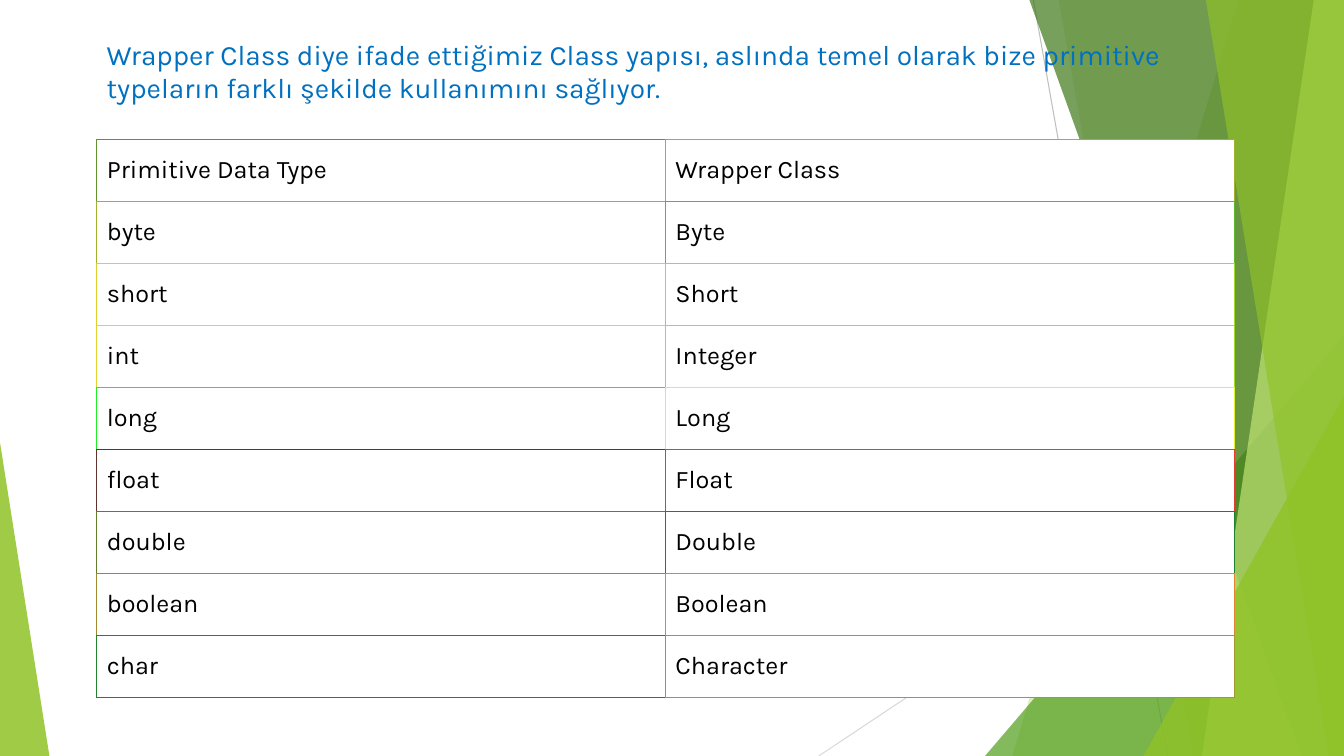
from lxml.etree import SubElement
from pptx import Presentation
from pptx.dml.color import RGBColor
from pptx.enum.shapes import MSO_CONNECTOR as Connector, MSO_SHAPE as Shape
from pptx.enum.text import MSO_ANCHOR as Anchor
from pptx.oxml.ns import qn
from pptx.util import Inches, Pt

WIDTH, HEIGHT = 13.33, 7.5
FONT = "Karla"
COLORS = {
    "white": "FFFFFF", "text": "000000", "intro": "0070C0",
    "line": "BFBFBF", "pale line": "D9D9D9",
    "lime": "90C226", "leaf": "54A021", "forest": "3F7819", "light": "C0E474",
}

# Connectors behind the facets: start, end, colour
LINES = [
    ((10.25, 0), (11.58, HEIGHT), "line"),
    ((WIDTH, 4.03), (8.12, HEIGHT), "pale line"),
]
# Facets from back to front. A panel has the x of its left edge at top and
# bottom; a triangle has its left and top. Then colour and opacity in percent.
FACETS = [
    ("panel", 12.28, 10.04, "lime", 30),
    ("panel", 10.5, 11.83, "lime", 20),
    ("triangle", 9.77, 3.33, "leaf", 72),
    ("panel", 10.21, 12.91, "forest", 70),
    ("panel", 13.03, 11.92, "light", 70),
    ("panel", 11.96, 13.18, "lime", 65),
    ("triangle", 11.34, 3.93, "lime", 80),
]

INTRO = ("Wrapper Class diye ifade ettiğimiz Class yapısı, aslında temel olarak "
         "bize primitive typeların farklı şekilde kullanımını sağlıyor.")
# Each row: two texts, then the border colour of each cell
TYPE_ROWS = [
    ("Primitive Data Type", "Wrapper Class", "60952E", "A0B12E"),
    ("byte", "Byte", "A0B12E", "60B62E"),
    ("short", "Short", "E0CD2E", "A0DB2E"),
    ("int", "Integer", "E0D52E", "A0DD2C"),
    ("long", "Long", "20EF2C", "E0F52C"),
    ("float", "Float", "60342D", "E03D2D"),
    ("double", "Double", "607C2D", "20802D"),
    ("boolean", "Boolean", "A0882D", "E0842D"),
    ("char", "Character", "20832D", "A09A2D"),
]


def rgb(name):
    return RGBColor.from_string(COLORS[name])


def write(text_frame, text, color, size):
    run = text_frame.paragraphs[0].add_run()
    run.text = text
    for name, value in {"name": FONT, "size": Pt(size), "bold": False}.items():
        setattr(run.font, name, value)
    run.font.color.rgb = rgb(color)


def paint(shape, color, opacity):
    shape.shadow.inherit = False
    shape.fill.solid()
    shape.fill.fore_color.rgb = rgb(color)
    shape.line.fill.background()
    color_node = shape.fill._xPr.find(qn("a:solidFill"))[0]
    SubElement(color_node, qn("a:alpha"), val=str(opacity * 1000))


def add_line(slide, start, end, color):
    line = slide.shapes.add_connector(
        Connector.STRAIGHT, *(Inches(value) for value in start + end))
    line.line.color.rgb = rgb(color)
    line.line.width = Pt(0.75)
    SubElement(line._element.spPr, qn("a:effectLst"))


def add_panel(slide, top_x, bottom_x, right, bottom, color, opacity):
    corners = [(top_x, 0), (right, 0), (right, bottom), (bottom_x, bottom)]
    points = [(Inches(x), Inches(y)) for x, y in corners]
    builder = slide.shapes.build_freeform(*points[0])
    builder.add_line_segments(points[1:], close=True)
    paint(builder.convert_to_shape(), color, opacity)


def add_triangle(slide, left, top, right, bottom, apex, color, opacity):
    box = (left, top, right - left, bottom - top)
    triangle = slide.shapes.add_shape(
        Shape.ISOSCELES_TRIANGLE, *(Inches(value) for value in box))
    triangle.adjustments[0] = apex
    paint(triangle, color, opacity)


def add_backdrop(slide, width, height):
    for start, end, color in LINES:
        add_line(slide, start, end, color)
    for kind, first, second, color, opacity in FACETS:
        if kind == "panel":
            add_panel(slide, first, second, width, height, color, opacity)
        else:
            add_triangle(slide, first, second, width, height, 1, color, opacity)
    # Sliver on the left edge
    add_triangle(slide, 0, 4.39, 0.49, height, 0, "lime", 85)


def add_intro(slide, left, top, width, height):
    box = slide.shapes.add_textbox(
        *(Inches(value) for value in (left, top, width, height)))
    box.text_frame.word_wrap = True
    write(box.text_frame, INTRO, "intro", 20)


def set_borders(cell, colors):
    properties = cell._tc.get_or_add_tcPr()
    for index, (side, color) in enumerate(colors.items()):
        border = properties.makeelement(qn(f"a:{side}"), {"w": str(Pt(0.75))})
        fill = SubElement(border, qn("a:solidFill"))
        SubElement(fill, qn("a:srgbClr"), val=color)
        properties.insert(index, border)


def add_type_table(slide, left, top, width, height):
    table = slide.shapes.add_table(
        len(TYPE_ROWS), 2,
        *(Inches(value) for value in (left, top, width, height))).table
    table.first_row = table.horz_banding = False
    last = len(TYPE_ROWS) - 1
    for row, values in enumerate(TYPE_ROWS):
        texts, edges = values[:2], values[2:]
        below = TYPE_ROWS[min(row + 1, last)][2:]
        for column, text in enumerate(texts):
            cell = table.cell(row, column)
            cell.vertical_anchor = Anchor.MIDDLE
            cell.fill.solid()
            cell.fill.fore_color.rgb = rgb("white")
            write(cell.text_frame, text, "text", 18)
            # A shared edge takes the colour of the cell to its right or below
            set_borders(cell, {"lnL": edges[column], "lnR": edges[1],
                               "lnT": edges[column], "lnB": below[column]})


def main():
    presentation = Presentation()
    presentation.slide_width = Inches(WIDTH)
    presentation.slide_height = Inches(HEIGHT)
    slide = presentation.slides.add_slide(presentation.slide_layouts[6])
    add_backdrop(slide, WIDTH, HEIGHT)
    add_intro(slide, 0.96, 0.32, 11.41, 0.77)
    add_type_table(slide, 0.96, 1.38, 11.28, 5.54)
    presentation.save("out.pptx")


if __name__ == "__main__":
    main()
